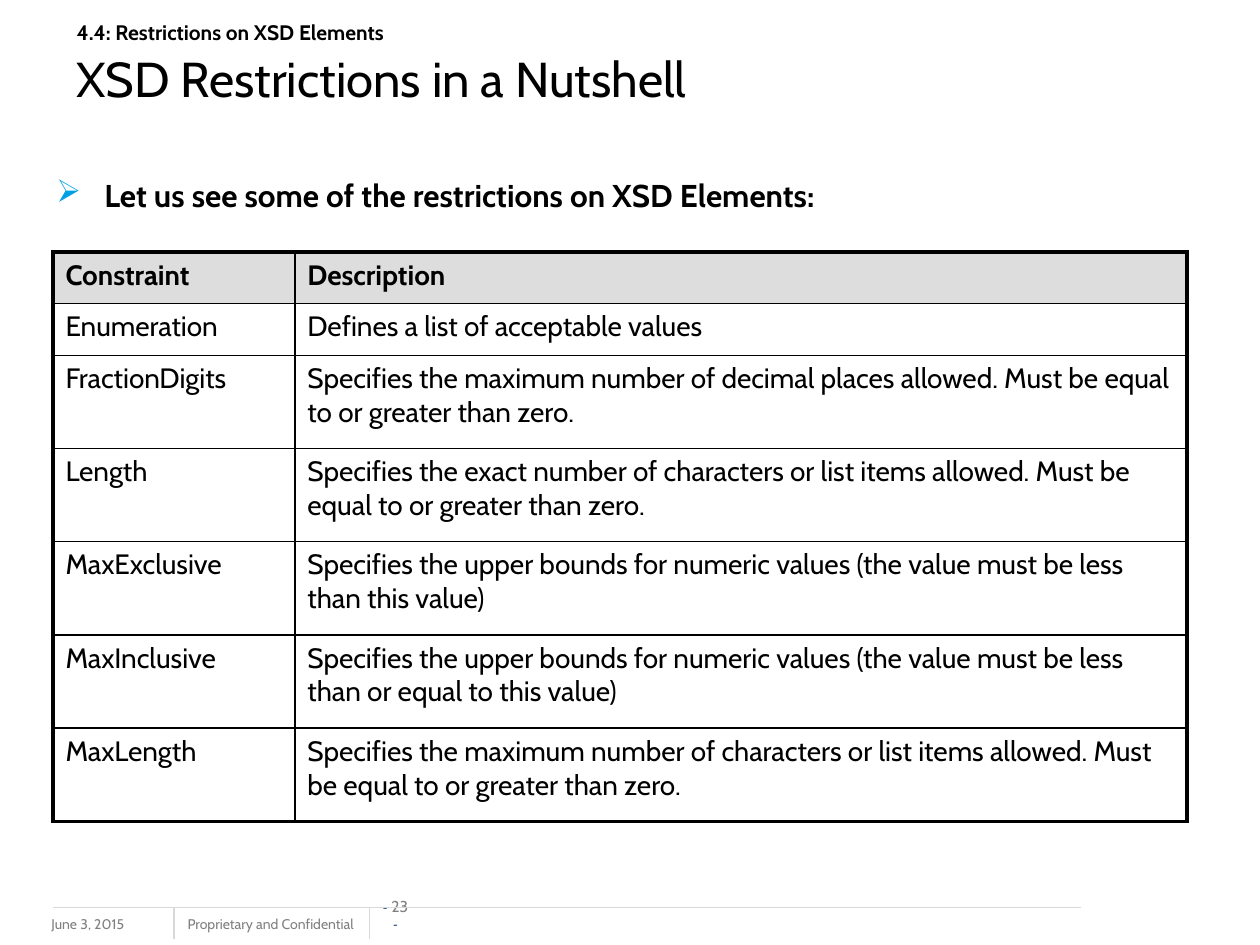
from lxml.etree import SubElement
from pptx import Presentation
from pptx.dml.color import RGBColor
from pptx.enum.shapes import MSO_CONNECTOR
from pptx.enum.text import MSO_ANCHOR as Anchor, PP_ALIGN as Align
from pptx.oxml.ns import qn
from pptx.util import Inches, Pt

CONSTRAINTS = [
    ("Constraint", "Description"),
    ("Enumeration", "Defines a list of acceptable values"),
    ("FractionDigits", "Specifies the maximum number of decimal places allowed. "
                       "Must be equal to or greater than zero."),
    ("Length", "Specifies the exact number of characters or list items allowed. "
               "Must be equal to or greater than zero."),
    ("MaxExclusive", "Specifies the upper bounds for numeric values "
                     "(the value must be less than this value)"),
    ("MaxInclusive", "Specifies the upper bounds for numeric values "
                     "(the value must be less than or equal to this value)"),
    ("MaxLength", "Specifies the maximum number of characters or list items allowed. "
                  "Must be equal to or greater than zero."),
]


def rgb(value):
    return RGBColor.from_string(value)


def write(paragraph, text, size, font="Cabin", color="000000", bold=False,
          align=None, before=None, after=None, spacing=None):
    run = paragraph.add_run()
    run.text = text
    run.font.size = Pt(size)
    run.font.name = font
    run.font.bold = bold
    run.font.color.rgb = rgb(color)
    if align is not None:
        paragraph.alignment = align
    if before is not None:
        paragraph.space_before = Pt(before)
    if after is not None:
        paragraph.space_after = Pt(after)
    if spacing is not None:
        paragraph.line_spacing = spacing


class NutshellSlide:
    ink = "000000"
    muted = "808080"
    rule = "D9D9D9"
    navy = "1F497D"
    accent = "00A1E4"
    header = "DDDDDD"
    paper = "FFFFFF"
    thin, thick = 1, 2.25

    def __init__(self, slide):
        self.slide = slide

    def frame(self, left, top, width, height, anchor=Anchor.TOP, wrap=True, inset=None):
        box = self.slide.shapes.add_textbox(
            Inches(left), Inches(top), Inches(width), Inches(height))
        frame = box.text_frame
        frame.word_wrap = wrap
        frame.vertical_anchor = anchor
        if inset is not None:
            frame.margin_left = frame.margin_right = Inches(inset)
            frame.margin_top = frame.margin_bottom = Inches(inset)
        return frame

    def footer_text(self, text, left, width, wrap=True):
        frame = self.frame(left, 7.22, width, 0.25, wrap=wrap)
        write(frame.paragraphs[0], text, 8, color=self.muted)

    def page_number(self, number):
        frame = self.frame(3.01, 7.25, 0.26, 0.15, Anchor.BOTTOM, inset=0)
        line = frame.paragraphs[0]
        write(line, "- ", 8, font="Arial", color=self.navy, align=Align.CENTER)
        write(line, f"{number} ", 9, color=self.muted)
        write(line, "-", 8, font="Arial", color=self.navy)

    def line(self, x1, y1, x2, y2):
        rule = self.slide.shapes.add_connector(
            MSO_CONNECTOR.STRAIGHT, Inches(x1), Inches(y1), Inches(x2), Inches(y2))
        rule.line.color.rgb = rgb(self.rule)
        rule.line.width = Pt(0.75)
        SubElement(rule._element.spPr, qn("a:effectLst"))

    def title(self, section, heading):
        frame = self.frame(0.51, 0.13, 8.92, 0.78, Anchor.MIDDLE)
        write(frame.paragraphs[0], section, 12, bold=True, after=9, spacing=0.8)
        write(frame.add_paragraph(), heading, 28, spacing=0.8)

    def bullet(self, text):
        paragraph = self.frame(0.35, 1.35, 9, 5.5).paragraphs[0]
        write(paragraph, text, 18, bold=True, before=3.6)
        properties = paragraph._p.get_or_add_pPr()
        properties.set("marL", str(Inches(0.38)))
        properties.set("indent", str(-Inches(0.38)))
        color = SubElement(properties, qn("a:buClr"))
        SubElement(color, qn("a:srgbClr"), val=self.accent)
        SubElement(properties, qn("a:buChar"), char="➢")

    def border(self, cell, side, width):
        edge = SubElement(cell._tc.get_or_add_tcPr(), qn(f"a:ln{side}"), w=str(Pt(width)))
        fill = SubElement(edge, qn("a:solidFill"))
        SubElement(fill, qn("a:srgbClr"), val=self.ink)

    def table(self, rows, left, top, widths, heights):
        table = self.slide.shapes.add_table(
            len(rows), len(widths), Inches(left), Inches(top),
            Inches(sum(widths)), Inches(sum(heights))).table
        for column, width in zip(table.columns, widths):
            column.width = Inches(width)
        for r, (row, height) in enumerate(zip(rows, heights)):
            table.rows[r].height = Inches(height)
            for c, text in enumerate(row):
                cell = table.cell(r, c)
                outer = {"L": c == 0, "R": c == len(widths) - 1,
                         "T": r == 0, "B": r == len(rows) - 1}
                for side, is_outer in outer.items():
                    self.border(cell, side, self.thick if is_outer else self.thin)
                cell.fill.solid()
                cell.fill.fore_color.rgb = rgb(self.header if r == 0 else self.paper)
                write(cell.text_frame.paragraphs[0], text, 16, bold=r == 0, before=3.2)


def main():
    deck = Presentation()
    deck.slide_width, deck.slide_height = Inches(10), Inches(7.5)
    page = NutshellSlide(deck.slides.add_slide(deck.slide_layouts[6]))

    page.footer_text("June 3, 2015", 0.31, 1.33)
    page.footer_text("Proprietary and Confidential", 1.39, 1.57, wrap=False)
    page.page_number(23)
    page.line(8.58, 7.2, 0.42, 7.2)
    for divider in (1.38, 2.93):
        page.line(divider, 7.2, divider, 7.45)

    page.title("4.4: Restrictions on XSD Elements", "XSD Restrictions in a Nutshell")
    page.table(CONSTRAINTS, 0.42, 2, [1.92, 7.08], [0.41] * 2 + [0.74] * 5)
    page.bullet("Let us see some of the restrictions on XSD Elements:")
    deck.save("out.pptx")


if __name__ == "__main__":
    main()
